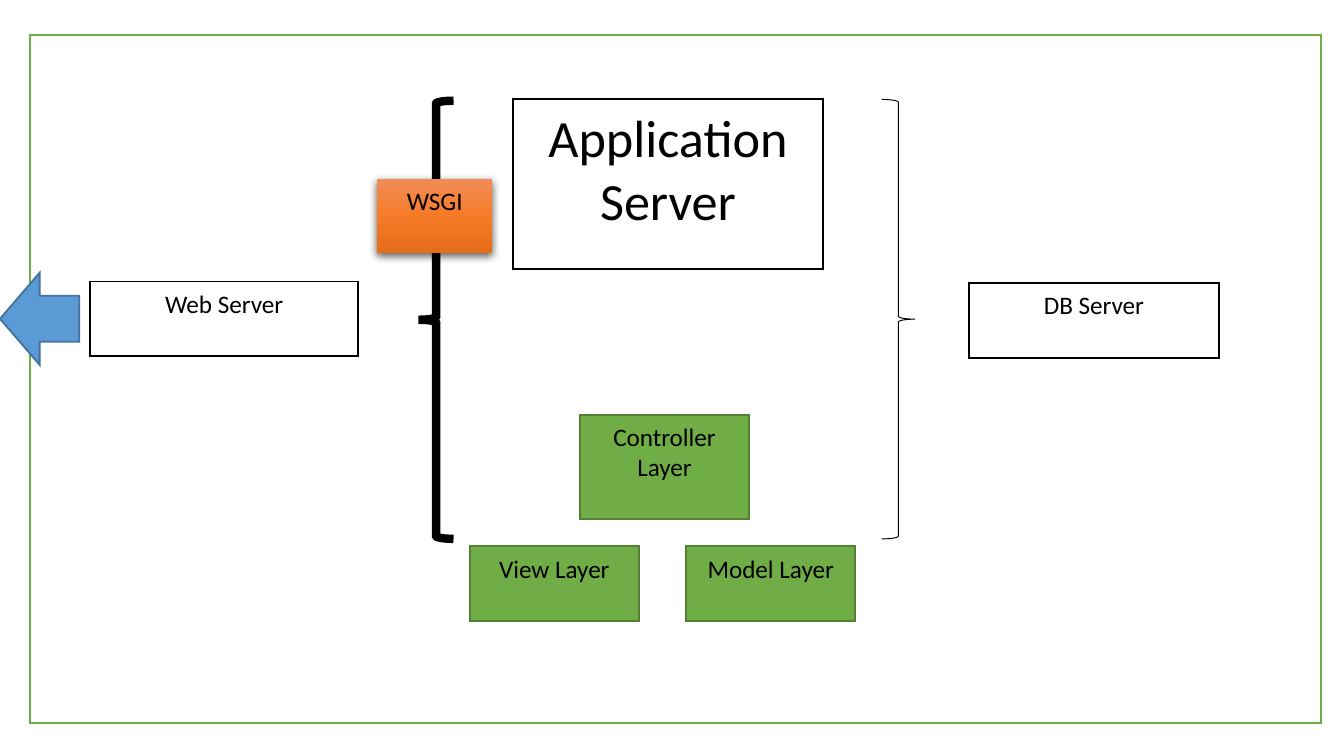
from lxml.etree import SubElement
from pptx import Presentation
from pptx.dml.color import RGBColor
from pptx.enum.shapes import MSO_SHAPE as Kind
from pptx.enum.text import MSO_ANCHOR as Anchor, PP_ALIGN as Align
from pptx.oxml import parse_xml
from pptx.oxml.ns import nsdecls, qn
from pptx.util import Emu, Pt

SCALE = 4572
PLAIN = {"fill": "FFFFFF", "line": "000000"}
LAYER = {"fill": "70AD47", "line": "538035"}


def px(n):
    """Turn px into EMU."""
    return Emu(n * SCALE)


def ink(hue):
    """Turn a hex string into a colour."""
    return RGBColor.from_string(hue)


def draw(slide, kind, box, fill=None, line=None, width=1):
    """Add a shape with flat fill and mitred line."""
    shape = slide.shapes.add_shape(kind, *map(px, box))
    shape.shadow.inherit = False
    for part, hue in ((shape.fill, fill), (shape.line.fill, line)):
        if hue:
            part.solid()
            part.fore_color.rgb = ink(hue)
        else:
            part.background()
    if line:
        shape.line.width = Pt(width)
        edge = shape._element.spPr.find(qn("a:ln"))
        SubElement(edge, qn("a:miter"), lim="800000")
    return shape


def label(shape, text, size=13.5):
    """Write centred black text at the top of a shape."""
    frame = shape.text_frame
    frame.word_wrap = True
    frame.vertical_anchor = Anchor.TOP
    para = frame.paragraphs[0]
    para.alignment = Align.CENTER
    run = para.add_run()
    run.text = text
    for name, value in {"name": "Calibri", "size": Pt(size)}.items():
        setattr(run.font, name, value)
    run.font.color.rgb = ink("000000")


def node(slide, text, box, look, size=13.5):
    """Add a labelled rectangle."""
    shape = draw(slide, Kind.RECTANGLE, box, **look)
    label(shape, text, size)
    return shape


def glow(shape, hues):
    """Give a shape a vertical gradient and a soft shadow."""
    props = shape._element.spPr
    stops = "".join(
        f'<a:gs pos="{i * 50000}"><a:srgbClr val="{hue}"/></a:gs>'
        for i, hue in enumerate(hues))
    grad = parse_xml(
        f'<a:gradFill {nsdecls("a")} rotWithShape="1"><a:gsLst>{stops}</a:gsLst>'
        '<a:lin ang="5400000" scaled="0"/></a:gradFill>')
    props.replace(props.find(qn("a:noFill")), grad)
    props.find(qn("a:effectLst")).append(parse_xml(
        f'<a:outerShdw {nsdecls("a")} blurRad="{Pt(4.5)}" dist="{Pt(1.5)}" '
        'dir="5400000" algn="ctr" rotWithShape="0"><a:srgbClr val="000000">'
        '<a:alpha val="63000"/></a:srgbClr></a:outerShdw>'))


def servers(slide, x, y):
    """Place the three servers and the braces between them."""
    node(slide, "Web Server", (x, y + 272, 399, 111), PLAIN)
    node(slide, "Application Server", (x + 629, y, 462, 254), PLAIN, 28)
    node(slide, "DB Server", (x + 1308, y + 274, 372, 112), PLAIN)
    draw(slide, Kind.LEFT_BRACE, (x + 489, y + 3, 52, 652), line="000000", width=4.5)
    draw(slide, Kind.RIGHT_BRACE, (x + 1178, y + 1, 50, 654), line="000000", width=0.5)


def layers(slide, x, y):
    """Place the model, view and controller layers."""
    for text, dx, dy, high in (("Model Layer", 322, 196, 111),
                               ("View Layer", 0, 196, 111),
                               ("Controller Layer", 164, 0, 156)):
        node(slide, text, (x + dx, y + dy, 252, high), LAYER)


def links(slide, x, y):
    """Place the outgoing arrow and the gateway box."""
    draw(slide, Kind.LEFT_ARROW, (x, y + 140, 118, 137), "5B9BD5", "43739E")
    gate = node(slide, "WSGI", (x + 561, y, 172, 111), {})
    glow(gate, ("F18C57", "F67B28", "E56C19"))


def main():
    """Build and save the slide."""
    deck = Presentation()
    deck.slide_width, deck.slide_height = px(2000), px(1125)
    slide = deck.slides.add_slide(deck.slide_layouts[6])
    draw(slide, Kind.RECTANGLE, (44, 52, 1922, 1024), "FFFFFF", "70AD47")
    servers(slide, 134, 147)
    layers(slide, 699, 617)
    links(slide, 0, 266)
    deck.save("out.pptx")


if __name__ == "__main__":
    main()
